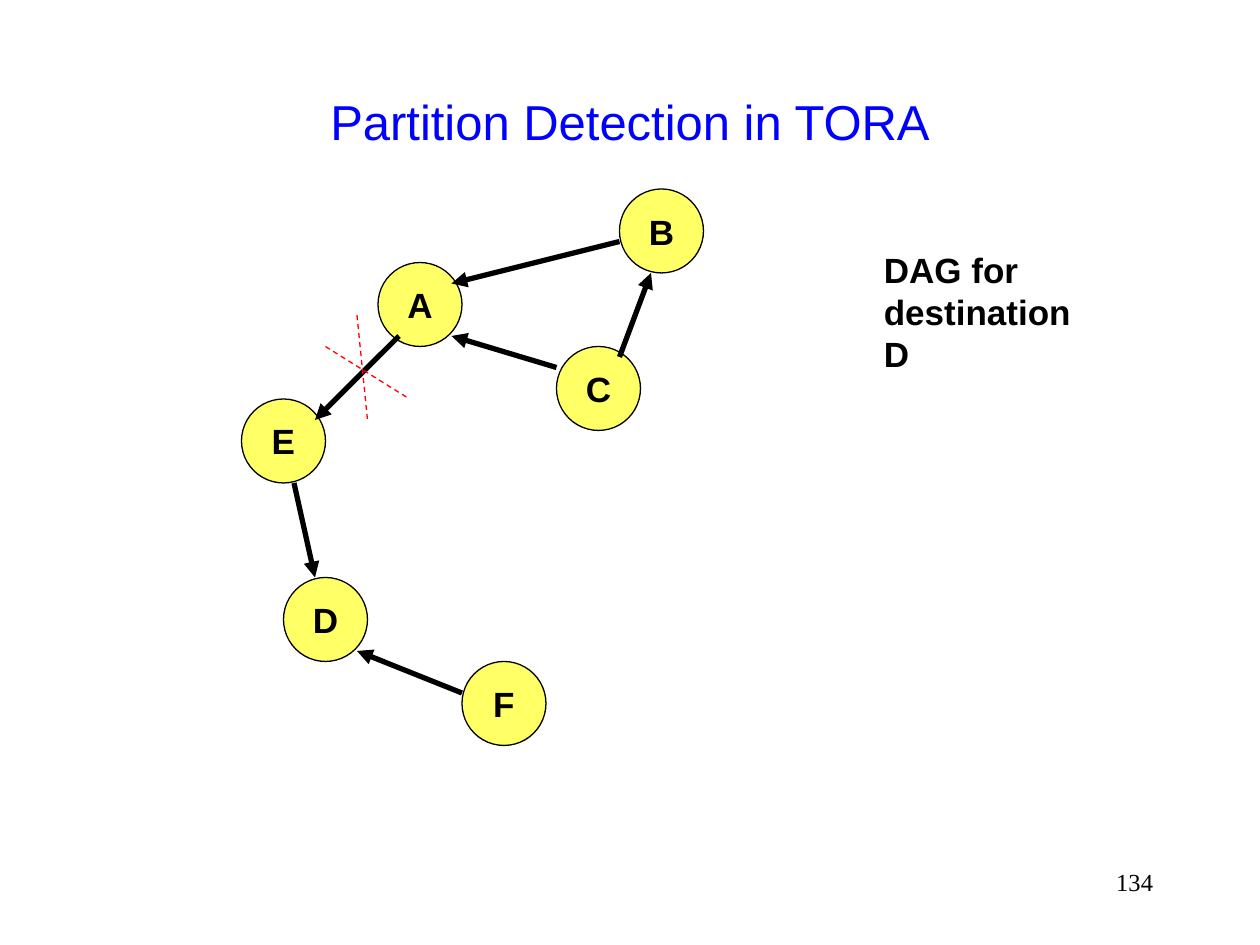
from lxml import etree
from pptx import Presentation
from pptx.dml.color import RGBColor
from pptx.enum.dml import MSO_LINE
from pptx.enum.shapes import MSO_CONNECTOR, MSO_SHAPE
from pptx.enum.text import MSO_ANCHOR, PP_ALIGN
from pptx.oxml.ns import qn
from pptx.util import Emu, Pt

EMU_PER_PX = 9525
BLANK_LAYOUT = 6
OVAL, STRAIGHT, DASH = MSO_SHAPE.OVAL, MSO_CONNECTOR.STRAIGHT, MSO_LINE.DASH
LEFT, CENTER, RIGHT = PP_ALIGN.LEFT, PP_ALIGN.CENTER, PP_ALIGN.RIGHT
TOP, MIDDLE = MSO_ANCHOR.TOP, MSO_ANCHOR.MIDDLE

COLORS = {"title": "0000FF", "ink": "000000", "node": "FFFF66", "cut": "FF0000"}
NODE_SIZE = 64
NODES = {
    "A": (288, 200),
    "B": (472, 144),
    "E": (184, 304),
    "D": (216, 440),
    "F": (352, 504),
    "C": (424, 264),
}
LINKS = [  # start and tip of each arrow
    ((472, 184), (344, 216)),  # B to A
    ((424, 280), (344, 256)),  # C to A
    ((304, 256), (240, 320)),  # A to E
    ((224, 368), (240, 440)),  # E to D
    ((352, 528), (272, 496)),  # F to D
    ((472, 272), (496, 208)),  # C to B
]
CROSS = [((248, 264), (312, 304)), ((272, 240), (280, 320))]


def px(value):
    return Emu(value * EMU_PER_PX)


def color(name):
    return RGBColor.from_string(COLORS[name])


class Page:
    def __init__(self, slide, font="Arial"):
        self.shapes = slide.shapes
        self.font = font

    def set_text(self, shape, text, size, ink="ink", bold=False, align=LEFT,
                 anchor=MIDDLE, wrap=False, font=None):
        frame = shape.text_frame
        frame.text = text
        frame.word_wrap = wrap
        frame.vertical_anchor = anchor
        for para in frame.paragraphs:
            para.alignment = align
            para.font.name = font or self.font
            para.font.size = Pt(size)
            para.font.bold = bold
            para.font.color.rgb = color(ink)

    def text(self, bounds, text, size, **style):
        box = self.shapes.add_textbox(*map(px, bounds))
        self.set_text(box, text, size, **style)

    def node(self, label, left, top):
        circle = self.shapes.add_shape(OVAL, *map(px, (left, top, NODE_SIZE, NODE_SIZE)))
        circle.shadow.inherit = False
        circle.fill.solid()
        circle.fill.fore_color.rgb = color("node")
        circle.line.color.rgb = color("ink")
        circle.line.width = Pt(0.75)
        self.set_text(circle, label, 20, bold=True, align=CENTER)

    def line(self, start, end, ink, width):
        connector = self.shapes.add_connector(STRAIGHT, *map(px, start + end))
        connector.line.color.rgb = color(ink)
        connector.line.width = Pt(width)
        etree.SubElement(connector._element.spPr, qn("a:effectLst"))
        return connector

    def arrow(self, start, tip):
        connector = self.line(start, tip, "ink", 3)
        outline = connector._element.spPr.find(qn("a:ln"))
        etree.SubElement(outline, qn("a:tailEnd"), type="triangle")

    def dashed(self, start, end):
        self.line(start, end, "cut", 0.75).line.dash_style = DASH


def main():
    deck = Presentation()
    deck.slide_width, deck.slide_height = px(960), px(720)
    page = Page(deck.slides.add_slide(deck.slide_layouts[BLANK_LAYOUT]))

    page.text((72, 32, 816, 120), "Partition Detection in TORA", 28,
              ink="title", align=CENTER, wrap=True)
    for label, corner in NODES.items():
        page.node(label, *corner)
    for start, tip in LINKS:
        page.arrow(start, tip)
    page.text((664, 200, 188, 74), "DAG for\ndestination D", 20, bold=True)
    for start, end in CROSS:
        page.dashed(start, end)
    page.text((688, 656, 200, 48), "134", 14, align=RIGHT, anchor=TOP,
              wrap=True, font="Times New Roman")

    deck.save("out.pptx")


if __name__ == "__main__":
    main()
